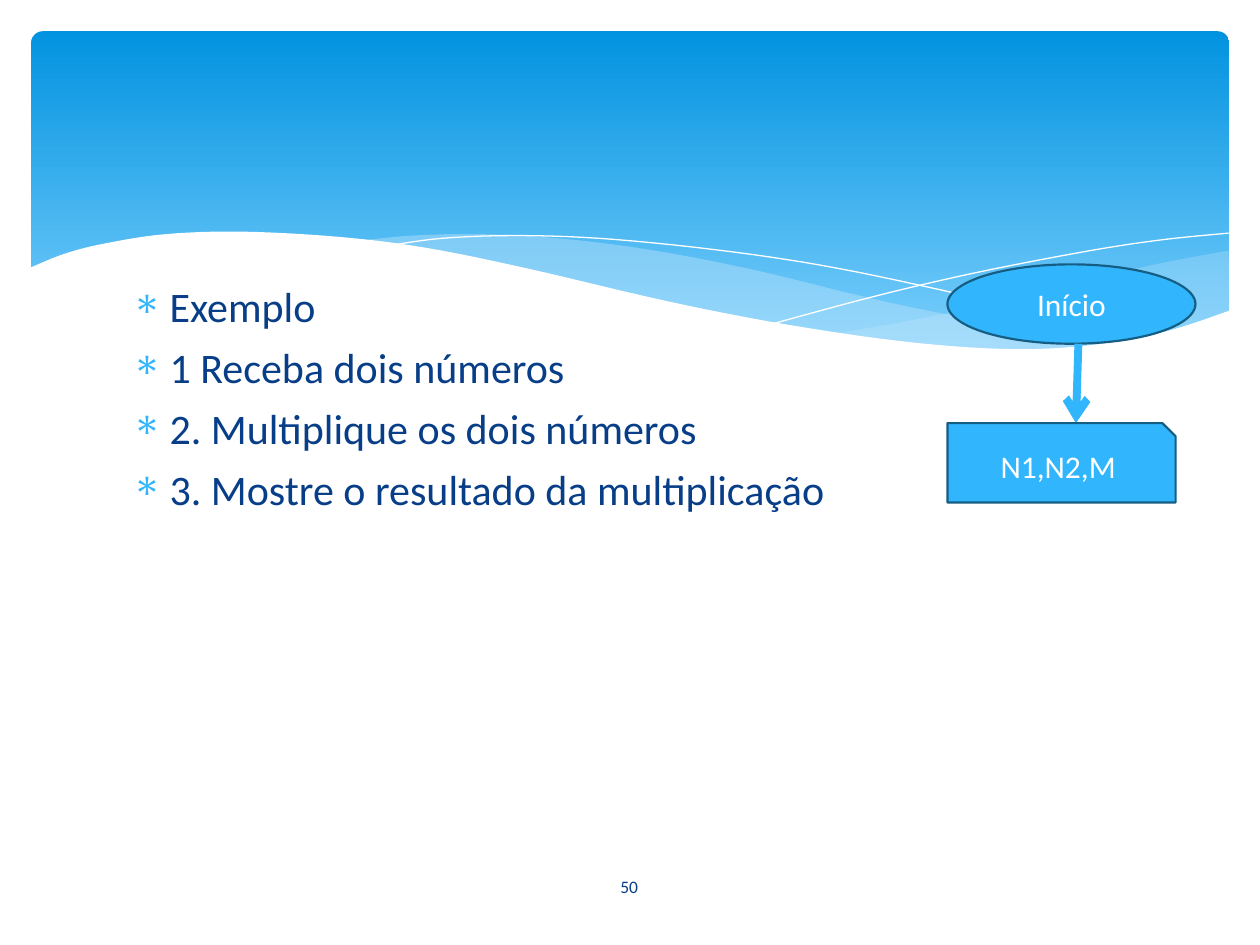
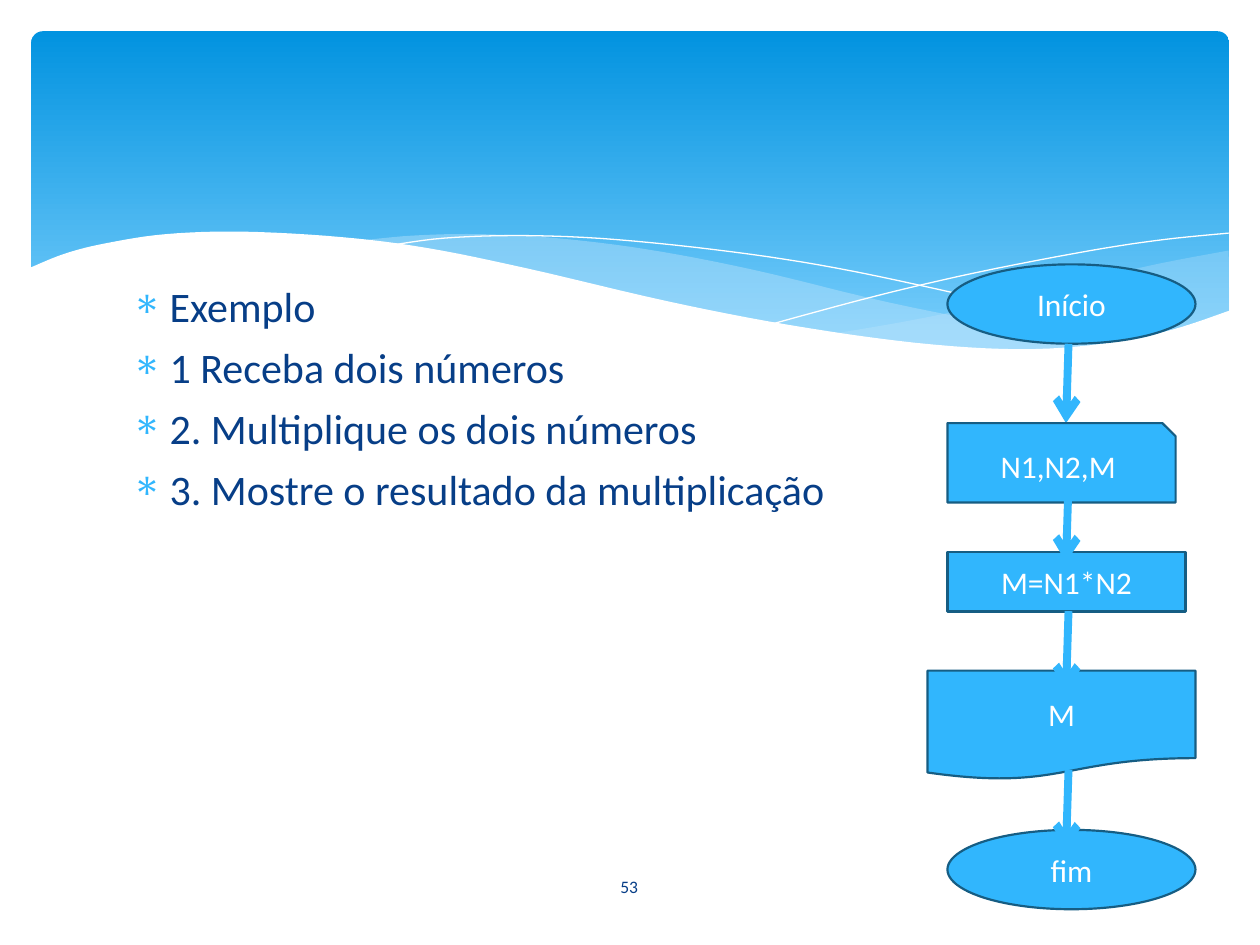
from lxml.etree import SubElement
from pptx import Presentation
from pptx.dml.color import RGBColor
from pptx.enum.shapes import MSO_CONNECTOR, MSO_SHAPE
from pptx.enum.text import MSO_ANCHOR, PP_ALIGN
from pptx.oxml.ns import qn
from pptx.util import Cm, Pt

rgb = RGBColor.from_string
NAVY, BLUE, EDGE, WHITE, PALE = "073E87", "31B6FD", "165D83", "FFFFFF", "C6E7FC"

WAVES = [
    ([[(24.77, 5.05), (23.39, 5.31), (21.87, 5.66), (20.45, 6.02), (18.52, 6.43), (16.79, 6.73)],
      [(16.79, 6.73), (17.91, 6.88), (19.23, 7.01), (20.68, 7.06), (22.15, 6.96), (23.39, 6.73),
       (24.78, 6.27)]], PALE, 29),
    ([[(7.26, 4.85), (8.33, 4.75), (9.65, 4.72), (11.2, 4.8), (13.06, 5.03), (15.19, 5.44),
       (17.93, 6.1), (20.5, 6.6), (22.68, 6.93)],
      [(22.68, 6.93), (21.77, 7.04), (20.5, 7.06), (18.69, 6.99), (16.89, 6.76), (14.83, 6.4),
       (12.47, 5.89), (10.85, 5.49), (9.19, 5.16), (7.26, 4.85)]], PALE, 40),
    ([[(7.85, 4.95), (8.97, 4.8), (10.57, 4.75), (12.42, 4.83), (14.78, 5.08), (16.89, 5.41),
       (19.3, 5.92), (21.11, 6.35), (23.04, 6.88)]], None, 100),
    ([[(15.57, 6.53), (17.65, 5.97), (19.71, 5.49), (22, 5.05), (23.47, 4.83), (24.77, 4.7)]],
     None, 100),
    ([[(24.82, 6.25), (23.62, 6.65), (22.23, 6.93), (20.55, 7.04), (18.44, 6.91), (15.9, 6.55),
       (13.44, 6.07), (10.62, 5.41), (8.61, 5), (6.88, 4.78), (4.9, 4.67), (3.35, 4.72),
       (2.16, 4.9), (1.32, 5.11), (0.58, 5.41)],
      [(0.58, 8.36), (24.82, 8.36)]], WHITE, 100),
]

STEPS = ["Exemplo", "1 Receba dois números", "2. Multiplique os dois números",
         "3. Mostre o resultado da multiplicação"]

START = (MSO_SHAPE.OVAL, 19.1, 5.33, 5, 1.6, "Início")
INPUT = (MSO_SHAPE.SNIP_1_RECTANGLE, 19.1, 8.53, 4.6, 1.6, "N1,N2,M")
PRODUCT = (MSO_SHAPE.RECTANGLE, 19.1, 11.13, 4.8, 1.2, "M=N1*N2")
OUTPUT = (MSO_SHAPE.FLOWCHART_DOCUMENT, 18.7, 13.52, 5.4, 2.2, "M")
END = (MSO_SHAPE.OVAL, 19.1, 16.73, 5, 1.6, "fim")

SLIDES = [
    ("50", [START, (21.74, 6.93), INPUT]),
    ("53", [START, (21.54, 6.93), INPUT, PRODUCT, (21.54, 9.73), OUTPUT, (21.54, 12.32),
            END, (21.54, 15.52)]),
]


def smooth(pts, n=6):
    ext = [pts[0]] + pts + [pts[-1]]
    out = [pts[0]]
    for a, b, c, d in zip(ext, ext[1:], ext[2:], ext[3:]):
        for t in [i / n for i in range(1, n + 1)]:
            out.append(tuple(
                q + ((r - p) * t + (2 * p - 5 * q + 4 * r - s) * t ** 2
                     + (3 * q - p - 3 * r + s) * t ** 3) / 2
                for p, q, r, s in zip(a, b, c, d)))
    return [(Cm(x), Cm(y)) for x, y in out]


def add_centred(sp, text, size, color):
    tf = sp.text_frame
    tf.word_wrap = True
    tf.vertical_anchor = MSO_ANCHOR.MIDDLE
    p = tf.paragraphs[0]
    p.alignment = PP_ALIGN.CENTER
    r = p.add_run()
    r.text = text
    r.font.name, r.font.size = "Calibri", Pt(size)
    r.font.color.rgb = rgb(color)


prs = Presentation()
prs.slide_width, prs.slide_height = Cm(25.4), Cm(19.05)

for number, flow in SLIDES:
    s = prs.slides.add_slide(prs.slide_layouts[6])

    sp = s.shapes.add_shape(MSO_SHAPE.ROUNDED_RECTANGLE, Cm(0.63), Cm(0.63), Cm(24.15), Cm(6.86))
    sp.adjustments[0] = 0.034
    sp.shadow.inherit = False
    sp.line.fill.background()
    sp.fill.gradient()
    sp.fill.gradient_angle = 270
    for stop, color in zip(sp.fill.gradient_stops, ["0293E0", "83D3FE"]):
        stop.color.rgb = rgb(color)

    for edges, color, alpha in WAVES:
        pts = [pt for edge in edges for pt in smooth(edge)]
        fb = s.shapes.build_freeform(*pts[0])
        fb.add_line_segments(pts[1:], close=color is not None)
        sp = fb.convert_to_shape()
        sp.shadow.inherit = False
        if color:
            sp.line.fill.background()
            sp.fill.solid()
            sp.fill.fore_color.rgb = rgb(color)
            clr = sp.fill._xPr.find(qn("a:solidFill"))[0]
            SubElement(clr, qn("a:alpha"), val=str(alpha * 1000))
        else:
            sp.fill.background()
            sp.line.color.rgb = rgb(WHITE)
            sp.line.width = Pt(0)

    tf = s.shapes.add_textbox(Cm(2.41), Cm(5.54), Cm(20.57), Cm(11.48)).text_frame
    tf.word_wrap = True
    for i, step in enumerate(STEPS):
        p = tf.add_paragraph() if i else tf.paragraphs[0]
        p.space_before = Pt(6 if i else 0)
        pPr = p._p.get_or_add_pPr()
        pPr.set("marL", str(Cm(0.76)))
        pPr.set("indent", str(-Cm(0.76)))
        SubElement(SubElement(pPr, qn("a:buClr")), qn("a:srgbClr"), val=BLUE)
        SubElement(pPr, qn("a:buChar"), char="∗")
        r = p.add_run()
        r.text = step
        r.font.name, r.font.size = "Calibri", Pt(24)
        r.font.color.rgb = rgb(NAVY)

    sp = s.shapes.add_textbox(Cm(11.07), Cm(17.37), Cm(3.23), Cm(1.02))
    add_centred(sp, number, 10, NAVY)

    for item in flow:
        if len(item) == 2:
            x, y = item
            cx = s.shapes.add_connector(MSO_CONNECTOR.STRAIGHT, Cm(x), Cm(y), Cm(x - 0.05), Cm(y + 1.6))
            cx.line.color.rgb = rgb(BLUE)
            cx.line.width = Pt(4.5)
            SubElement(cx.line._get_or_add_ln(), qn("a:tailEnd"), type="arrow")
            SubElement(cx._element.spPr, qn("a:effectLst"))
        else:
            kind, x, y, w, h, text = item
            sp = s.shapes.add_shape(kind, Cm(x), Cm(y), Cm(w), Cm(h))
            sp.shadow.inherit = False
            sp.fill.solid()
            sp.fill.fore_color.rgb = rgb(BLUE)
            sp.line.color.rgb = rgb(EDGE)
            sp.line.width = Pt(1.25)
            add_centred(sp, text, 18, WHITE)

prs.save("out.pptx")
